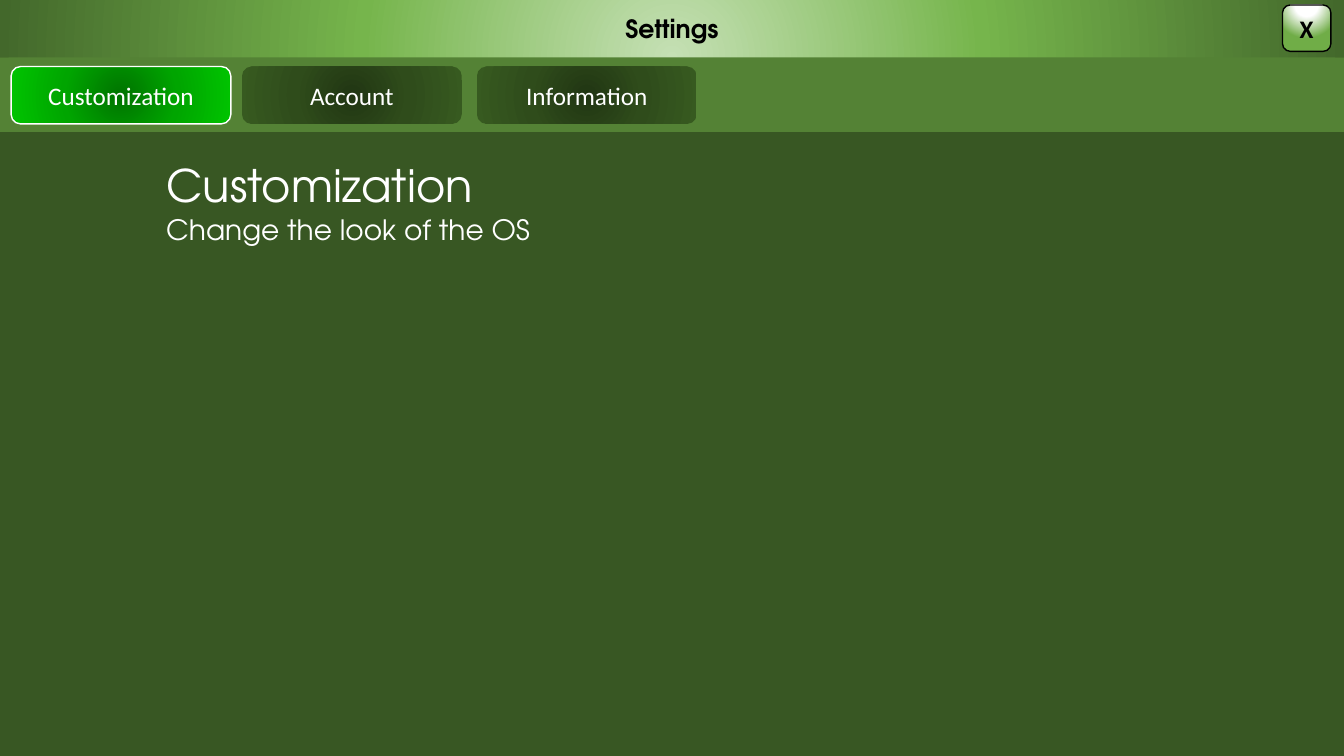
from pptx import Presentation
from pptx.dml.color import RGBColor
from pptx.enum.shapes import MSO_SHAPE
from pptx.enum.text import MSO_ANCHOR, MSO_AUTO_SIZE, PP_ALIGN
from pptx.oxml import parse_xml
from pptx.oxml.ns import nsdecls, qn
from pptx.util import Inches, Pt

RECT, ROUNDED = MSO_SHAPE.RECTANGLE, MSO_SHAPE.ROUNDED_RECTANGLE
CENTER, LEFT = PP_ALIGN.CENTER, PP_ALIGN.LEFT
MIDDLE, TOP = MSO_ANCHOR.MIDDLE, MSO_ANCHOR.TOP
FIT_SHAPE = MSO_AUTO_SIZE.SHAPE_TO_FIT_TEXT

HEADING_FONT, BUTTON_FONT = "TeX Gyre Adventor", "Calibri"
WHITE, BLACK = "FFFFFF", "000000"
PAGE_GREEN, TAB_BAR_GREEN = "385723", "548235"

# Gradient stops (percent, colour) and the focus (left, top, right, bottom)
CENTRED = (50, 50, 50, 50)
TITLE_BAR = [(0, "C5E0B4"), (46, "76B54C"), (100, "43682B")], (50, 130, 50, -30)
CLOSE = [(0, WHITE), (35, WHITE), (100, "70AD47")], (50, -80, 50, 180)
ACTIVE_TAB = [(0, "007400"), (50, "00A500"), (100, "00C400")], CENTRED
IDLE_TAB = [(0, "213613"), (50, "2F4C1B"), (100, "375A20")], CENTRED


def rgb(color):
    return RGBColor.from_string(color)


def set_radial_fill(sp, stops, focus):
    sp.fill.gradient()
    stop_xml = "".join(
        f'<a:gs pos="{pos * 1000}"><a:srgbClr val="{color}"/></a:gs>'
        for pos, color in stops)
    l, t, r, b = (side * 1000 for side in focus)
    radial = parse_xml(
        f'<a:gradFill {nsdecls("a")} rotWithShape="1"><a:gsLst>{stop_xml}</a:gsLst>'
        f'<a:path path="circle"><a:fillToRect l="{l}" t="{t}" r="{r}" b="{b}"/>'
        '</a:path></a:gradFill>')
    props = sp.element.spPr
    props.replace(props.find(qn("a:gradFill")), radial)


def add_panel(s, kind, box, fill, line=None):
    """Add a shape whose fill is a hex colour or a (stops, focus) gradient."""
    sp = s.shapes.add_shape(kind, *map(Inches, box))
    sp.shadow.inherit = False
    if isinstance(fill, str):
        sp.fill.solid()
        sp.fill.fore_color.rgb = rgb(fill)
    else:
        set_radial_fill(sp, *fill)
    if line:
        sp.line.color.rgb = rgb(line)
        sp.line.width = Pt(1)
    else:
        sp.line.fill.background()
    return sp


def write(sp, text, size, font, color, bold=False, align=CENTER, anchor=MIDDLE):
    tf = sp.text_frame
    tf.word_wrap = True
    tf.vertical_anchor = anchor
    p = tf.paragraphs[0]
    p.text = text
    p.alignment = align
    p.font.size, p.font.name, p.font.bold = Pt(size), font, bold
    p.font.color.rgb = rgb(color)


def write_heading(sp, text, size):
    write(sp, text, size, HEADING_FONT, WHITE, align=LEFT, anchor=TOP)
    sp.text_frame.auto_size = FIT_SHAPE


def add_tabs(s):
    tabs = [(0.11, "Customization", ACTIVE_TAB, WHITE),
            (2.4, "Account", IDLE_TAB, None),
            (4.73, "Information", IDLE_TAB, None)]
    for left, label, fill, line in tabs:
        tab = add_panel(s, ROUNDED, (left, 0.66, 2.18, 0.57), fill, line)
        write(tab, label, 18, BUTTON_FONT, WHITE)


def main():
    prs = Presentation()
    prs.slide_width, prs.slide_height = Inches(13.33), Inches(7.5)
    s = prs.slides.add_slide(prs.slide_layouts[5])

    add_panel(s, RECT, (0, 0.01, 13.33, 7.59), PAGE_GREEN)
    title_bar = add_panel(s, RECT, (0, 0, 13.33, 0.57), TITLE_BAR)
    write(title_bar, "Settings", 18, HEADING_FONT, BLACK, bold=True)
    add_panel(s, RECT, (0, 0.57, 13.33, 0.74), TAB_BAR_GREEN)
    add_tabs(s)
    close = add_panel(s, ROUNDED, (12.72, 0.05, 0.48, 0.46), CLOSE, BLACK)
    write(close, "X", 18, BUTTON_FONT, BLACK, bold=True)

    title = s.shapes.title
    title.left, title.top = Inches(1.55), Inches(1.51)
    title.width, title.height = Inches(3.29), Inches(0.64)
    write_heading(title, "Customization", 32)
    # The placeholder starts at the back: bring it in front of the panels
    title.element.getparent().append(title.element)

    subtitle = s.shapes.add_textbox(
        Inches(1.55), Inches(2.06), Inches(7.36), Inches(0.44))
    write_heading(subtitle, "Change the look of the OS", 20)

    prs.save("out.pptx")


if __name__ == "__main__":
    main()
